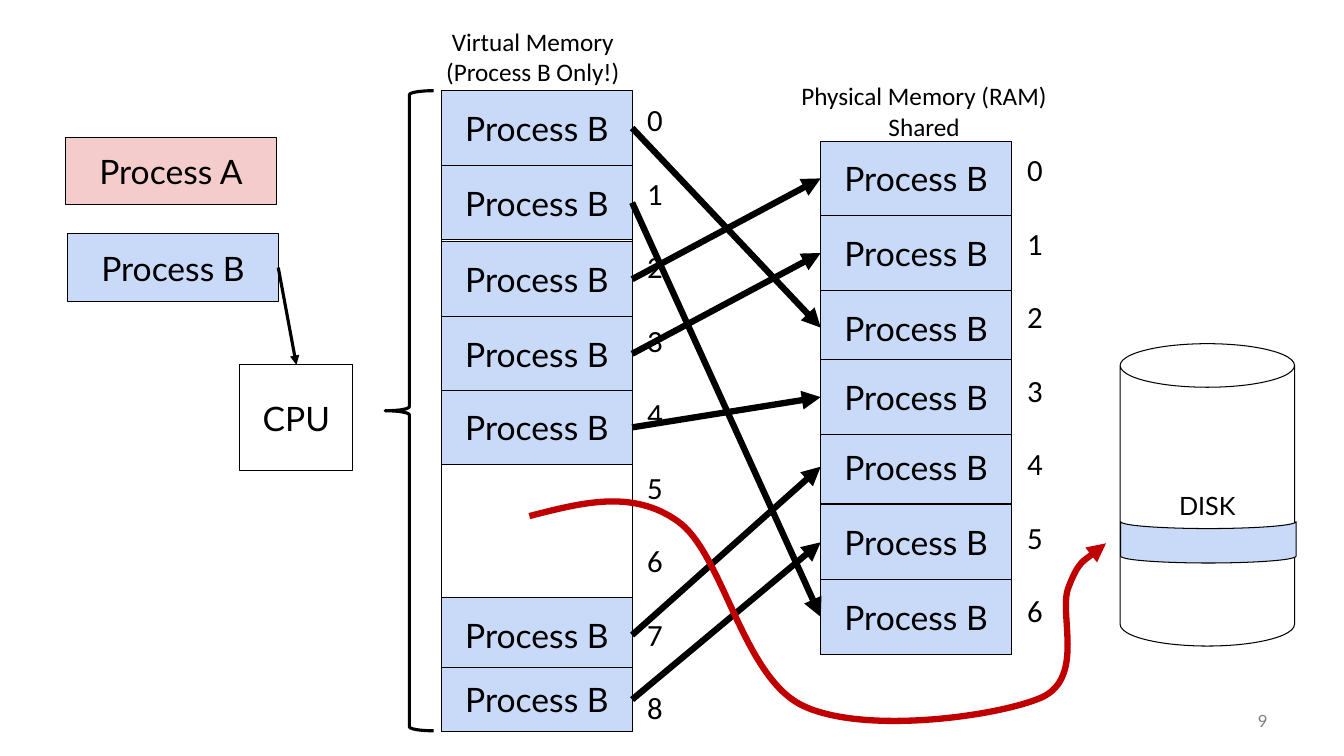
from dataclasses import dataclass
from lxml import etree
from pptx import Presentation
from pptx.dml.color import RGBColor
from pptx.enum.shapes import MSO_CONNECTOR, MSO_SHAPE
from pptx.enum.text import MSO_ANCHOR, PP_ALIGN
from pptx.oxml.ns import qn
from pptx.util import Inches, Pt

RECT, CAN, BRACE = MSO_SHAPE.RECTANGLE, MSO_SHAPE.CAN, MSO_SHAPE.LEFT_BRACE
BAND = MSO_SHAPE.FLOWCHART_STORED_DATA
STRAIGHT = MSO_CONNECTOR.STRAIGHT
LEFT, CENTER, RIGHT = PP_ALIGN.LEFT, PP_ALIGN.CENTER, PP_ALIGN.RIGHT
TOP, MIDDLE = MSO_ANCHOR.TOP, MSO_ANCHOR.MIDDLE
SIDE_TOP, SIDE_LEFT, SIDE_RIGHT = 0, 1, 3


@dataclass(frozen=True)
class Theme:
    black: str = "000000"
    white: str = "FFFFFF"
    grey: str = "808080"
    pink: str = "F4CCCC"
    blue: str = "C9DAF8"
    red: str = "C00000"
    box_font: str = "Lato"
    label_font: str = "Calibri"
    box_size: float = 24
    index_size: float = 22
    label_size: float = 18
    number_size: float = 12
    thin: float = 0.75
    medium: float = 2.25
    thick: float = 4.5
    inset: float = 0.1
    index_gap: float = 26.1


class Diagram:
    def __init__(self, slide, theme):
        self.slide, self.theme = slide, theme

    def fill_text(self, s, lines, font, size, color, align=CENTER, anchor=MIDDLE, gap=0):
        tf = s.text_frame
        inset = Inches(self.theme.inset)
        frame = {"word_wrap": True, "vertical_anchor": anchor, "margin_left": inset,
                 "margin_right": inset, "margin_top": inset, "margin_bottom": inset}
        for name, value in frame.items():
            setattr(tf, name, value)
        for i, line in enumerate(lines):
            p = tf.add_paragraph() if i else tf.paragraphs[0]
            p.alignment = align
            p.space_before = Pt(gap if i else 0)
            r = p.add_run()
            r.text = line
            for name, value in {"name": font, "size": Pt(size)}.items():
                setattr(r.font, name, value)
            r.font.color.rgb = RGBColor.from_string(color)

    def stroke(self, s, color, width):
        s.line.color.rgb = RGBColor.from_string(color)
        s.line.width = Pt(width)

    def shape(self, kind, at, fill=None, text=None, size=None, width=None):
        s = self.slide.shapes.add_shape(kind, *map(Inches, at))
        s.shadow.inherit = False
        if fill:
            s.fill.solid()
            s.fill.fore_color.rgb = RGBColor.from_string(fill)
        else:
            s.fill.background()
        self.stroke(s, self.theme.black, width or self.theme.thin)
        if text:
            self.fill_text(s, [text], self.theme.box_font, size or self.theme.box_size,
                           self.theme.black)
        return s

    def label(self, at, lines, font, size, color, align=CENTER, anchor=TOP, gap=0):
        s = self.slide.shapes.add_textbox(*map(Inches, at))
        self.fill_text(s, lines, font, size, color, align, anchor, gap)

    def caption(self, at, lines):
        t = self.theme
        self.label(at, lines, t.label_font, t.label_size, t.black)

    def indexes(self, at, count):
        t = self.theme
        self.label(at, map(str, range(count)), t.label_font, t.index_size, t.black,
                   LEFT, gap=t.index_gap)

    def arrowhead(self, s):
        etree.SubElement(s.line._get_or_add_ln(), qn("a:tailEnd"), type="triangle")

    def arrow(self, source, target, end_side, width):
        s = self.slide.shapes.add_connector(STRAIGHT, 0, 0, 0, 0)
        s.begin_connect(source, SIDE_RIGHT)
        s.end_connect(target, end_side)
        self.stroke(s, self.theme.black, width)
        self.arrowhead(s)
        etree.SubElement(s._element.spPr, qn("a:effectLst"))

    def curve(self, at, points):
        left, top, width, height = map(Inches, at)
        emu = [(Inches(x), Inches(y)) for x, y in points]
        builder = self.slide.shapes.build_freeform(*emu[0])
        builder.add_line_segments(emu[1:], close=False)
        s = builder.convert_to_shape()
        box = {"left": left, "top": top, "width": width, "height": height}
        for name, value in box.items():
            setattr(s, name, value)
        outline = s._element.xpath(".//a:path")[0]
        for child in list(outline):
            outline.remove(child)
        outline.set("w", str(width))
        outline.set("h", str(height))
        steps = [("a:moveTo", emu[:1])]
        steps += [("a:cubicBezTo", emu[i:i + 3]) for i in range(1, len(emu), 3)]
        for tag, group in steps:
            step = etree.SubElement(outline, qn(tag))
            for x, y in group:
                etree.SubElement(step, qn("a:pt"), x=str(x - left), y=str(y - top))
        s.shadow.inherit = False
        s.fill.background()
        self.stroke(s, self.theme.red, self.theme.thick)
        self.arrowhead(s)


def main():
    prs = Presentation()
    prs.slide_width, prs.slide_height = Inches(13.33), Inches(7.5)
    t = Theme()
    d = Diagram(prs.slides.add_slide(prs.slide_layouts[6]), t)

    d.label((11.67, 6.95, 1, 0.4), ["9"], t.box_font, t.number_size, t.grey, RIGHT, MIDDLE)
    cpu = d.shape(RECT, (2.38, 3.62, 1.12, 1.05), t.white, "CPU")
    d.shape(RECT, (0.65, 1.36, 2.09, 0.67), t.pink, "Process A")
    process_b = d.shape(RECT, (0.67, 2.32, 2.09, 0.67), t.blue, "Process B")
    d.arrow(process_b, cpu, SIDE_TOP, t.medium)

    page_width, page_height = 1.89, 0.74
    virtual_left, physical_left = 4.38, 8.14
    d.shape(RECT, (virtual_left, 0.9, page_width, 6.35), t.white)
    d.shape(RECT, (physical_left, 1.4, page_width, 5.09), t.white)
    d.shape(BRACE, (3.82, 0.9, 0.48, 6.35), width=t.medium)
    d.caption((4.12, 0.16, 2.33, 0.7), ["Virtual Memory", "(Process B Only!)"])
    d.caption((7.71, 0.7, 2.91, 0.7), ["Physical Memory (RAM)", "Shared"])
    d.indexes((6.32, 0.9, 0.4, 6.5), 9)
    d.indexes((10.09, 1.4, 0.4, 5.14), 7)

    def page(left, top, height=page_height):
        return d.shape(RECT, (left, top, page_width, height), t.blue, "Process B")

    virtual = [page(virtual_left, top) for top in (0.9, 1.64, 2.4, 3.14, 3.87, 5.93)]
    virtual.append(page(virtual_left, 6.62, 0.64))
    physical_tops = (1.4, 2.14, 2.88, 3.57, 4.26, 5.01, 5.75)
    physical = {i: page(physical_left, physical_tops[i]) for i in (0, 1, 2, 4, 5, 6, 3)}
    for source, frame in zip(virtual, (2, 6, 0, 1, 3, 4, 5)):
        d.arrow(source, physical[frame], SIDE_LEFT, t.thick)

    d.shape(CAN, (11.11, 3.41, 1.73, 3), t.white, "DISK", t.label_size)
    band = d.shape(BAND, (11.78, 4.51, 0.41, 1.74), t.blue)
    band.rotation = 270
    d.curve((5.25, 4.98, 5.72, 2.18), [
        (5.25, 5.12), (5.76, 4.99), (6.27, 4.85), (6.72, 5.17),
        (7.17, 5.48), (7.36, 6.71), (7.96, 7), (8.56, 7.29), (9.89, 7.11), (10.33, 6.92),
        (10.77, 6.72), (10.49, 6.07), (10.6, 5.82), (10.7, 5.56), (10.9, 5.45), (10.97, 5.39)])
    prs.save("out.pptx")


if __name__ == "__main__":
    main()
